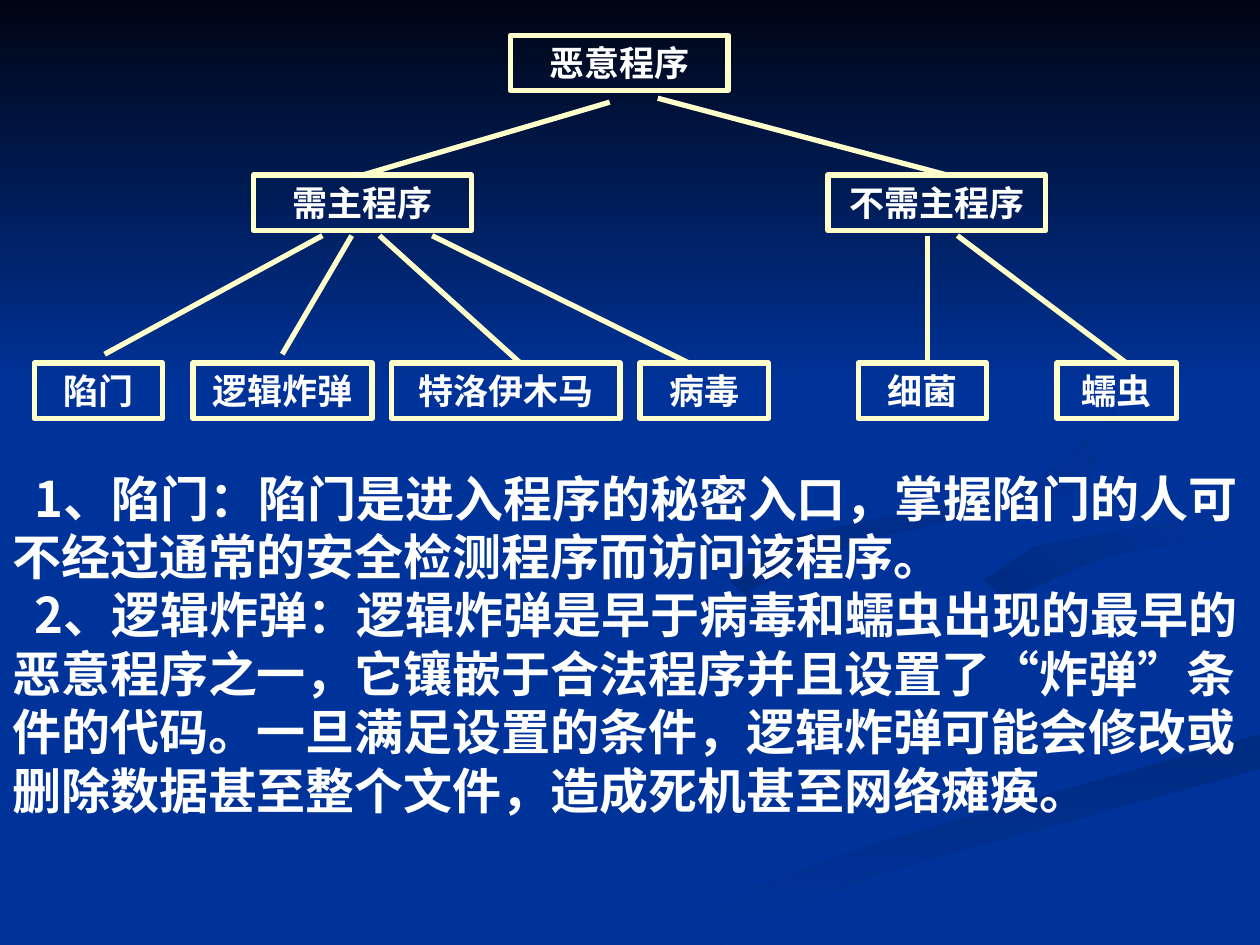
import pptx
import pptx.dml.color
import pptx.enum.shapes
import pptx.enum.text
import pptx.oxml
import pptx.oxml.ns
import pptx.util
from pptx.util import Cm

RGBColor = pptx.dml.color.RGBColor
BLUE = RGBColor(0x00, 0x33, 0x99)
NIGHT = RGBColor(0x00, 0x05, 0x14)
SHADE = RGBColor(0x00, 0x2B, 0x82)
CREAM = RGBColor(0xFF, 0xFF, 0xCC)
WHITE = RGBColor(0xFF, 0xFF, 0xFF)
LATIN_FONT = "Times New Roman"
CJK_FONT = "Noto Sans CJK JP"
WIDTH, HEIGHT = 25.4, 19.05
BOX_HEIGHT = 1.12
HOST_TOP, LEAF_TOP = 3.53, 7.32
BRANCH_TOP = 4.75

# Background ribbons: first colour, last colour, clockwise angle, outline in cm
RIBBONS = [
    (SHADE, BLUE, 90, [
        (12.8, HEIGHT), (14.5, HEIGHT), (17.7, 17.6), (WIDTH, 15.5),
        (WIDTH, 14.8), (17.7, 17), (15.2, 17.9)]),
    (SHADE, BLUE, 315, [
        (19.8, 11.7), (21, 12.6), (20.5, 12), (22.3, 11.2),
        (WIDTH, 10.7), (WIDTH, 10.2), (20.9, 11)]),
    (SHADE, BLUE, 315, [
        (17.4, 10.9), (21.7, 9.9), (22.6, 8.5), (19.4, 5.9), (22.5, 8.3),
        (20.8, 9.8), (15.6, 10.9), (14.7, 11.7), (15.8, 12.7), (15.1, 11.9)]),
    (NIGHT, BLUE, 90, [(0, 0), (0, 7.82), (WIDTH, 7.82), (WIDTH, 0)]),
]

# Leaf programs: text, left, width
LEAVES = [
    ("陷门", 0.69, 2.59),
    ("逻辑炸弹", 3.89, 3.61),
    ("特洛伊木马", 7.9, 4.6),
    ("病毒", 12.9, 2.59),
    ("细菌", 17.3, 2.59),
    ("蠕虫", 21.31, 2.41),
]

# Branches to the leaves: x at the top, x at the bottom, gap above the leaf
BRANCHES = [
    (6.5, 2.11, 0.18),
    (7.09, 5.69, 0.18),
    (7.65, 10.49, 0),
    (8.71, 13.89, 0),
    (18.69, 18.69, 0),
    (19.3, 22.71, 0),
]

# Each definition is a list of runs
DEFINITIONS = [
    ["1、陷门：陷门是进入程序的秘密入口，掌握陷门的人可不经过通常的安全检测程序而访问该程序。"],
    ["2、逻辑炸弹：逻辑炸弹是早于病毒和蠕虫出现的最早的恶意程序之一，它镶嵌于合法程序并且设置了",
     "“", "炸弹", "”",
     "条件的代码。一旦满足设置的条件，逻辑炸弹可能会修改或删除数据甚至整个文件，造成死机甚至网络瘫痪。"],
]


class TreeSlide:
    def __init__(self, slide):
        self.slide = slide
        self.shapes = slide.shapes

    def style(self, paragraph, size, font_name):
        font = paragraph.font
        font.name, font.size, font.bold = font_name, pptx.util.Pt(size), True
        font.color.rgb = WHITE

    def outline(self, shape):
        shape.line.color.rgb = CREAM
        shape.line.width = pptx.util.Pt(3)

    def ribbon(self, first, last, angle, points):
        points = [(Cm(x), Cm(y)) for x, y in points]
        builder = self.shapes.build_freeform(*points[0])
        builder.add_line_segments(points[1:], close=True)
        shape = builder.convert_to_shape()
        shape.shadow.inherit = False
        shape.line.fill.background()
        shape.fill.gradient()
        shape.fill.gradient_angle = 360 - angle
        for stop, color in zip(shape.fill.gradient_stops, (first, last)):
            stop.color.rgb = color

    def box(self, text, left, top, width=4.39):
        shape = self.shapes.add_shape(pptx.enum.shapes.MSO_SHAPE.RECTANGLE,
                                      Cm(left), Cm(top), Cm(width), Cm(BOX_HEIGHT))
        shape.shadow.inherit = False
        shape.fill.background()
        self.outline(shape)
        frame = shape.text_frame
        frame.vertical_anchor = pptx.enum.text.MSO_ANCHOR.MIDDLE
        paragraph = frame.paragraphs[0]
        paragraph.text = text
        paragraph.alignment = pptx.enum.text.PP_ALIGN.CENTER
        self.style(paragraph, 20, LATIN_FONT)
        return shape

    def branch(self, *ends):
        connector = self.shapes.add_connector(
            pptx.enum.shapes.MSO_CONNECTOR.STRAIGHT, *(Cm(value) for value in ends))
        self.outline(connector)
        connector._element.spPr.append(pptx.oxml.parse_xml(
            "<a:effectLst %s/>" % pptx.oxml.ns.nsdecls("a")))
        return connector

    def body(self, definitions, left, top, width, height):
        frame = self.shapes.add_textbox(Cm(left), Cm(top), Cm(width), Cm(height)).text_frame
        frame.word_wrap = True
        for index, texts in enumerate(definitions):
            paragraph = frame.add_paragraph() if index else frame.paragraphs[0]
            paragraph._p.get_or_add_pPr().set("indent", str(Cm(0.44)))
            paragraph.line_spacing = pptx.util.Pt(33.4)
            self.style(paragraph, 28, CJK_FONT)
            for text in texts:
                run = paragraph.add_run()
                run.text = text
                if text in "“”":
                    run.font.name = LATIN_FONT


def main():
    presentation = pptx.Presentation()
    presentation.slide_width, presentation.slide_height = Cm(WIDTH), Cm(HEIGHT)
    slide = presentation.slides.add_slide(presentation.slide_layouts[6])
    tree = TreeSlide(slide)

    # Background
    slide.background.fill.solid()
    slide.background.fill.fore_color.rgb = BLUE
    for ribbon in RIBBONS:
        tree.ribbon(*ribbon)

    # Tree of malicious programs
    tree.box("恶意程序", 10.29, 0.71)
    host_box = tree.box("需主程序", 5.11, HOST_TOP)
    tree.box("不需主程序", 16.69, HOST_TOP)
    for text, left, width in LEAVES:
        tree.box(text, left, LEAF_TOP, width)
    for top_x, bottom_x, gap in BRANCHES:
        tree.branch(top_x, BRANCH_TOP, bottom_x, LEAF_TOP - gap)
    tree.branch(12.29, 2.06, 7.3, HOST_TOP).end_connect(host_box, 0)
    tree.branch(13.26, 1.98, 19.1, HOST_TOP)

    # Definitions
    tree.body(DEFINITIONS, 0, 9.32, WIDTH, 7.37)

    presentation.save("out.pptx")


if __name__ == "__main__":
    main()
